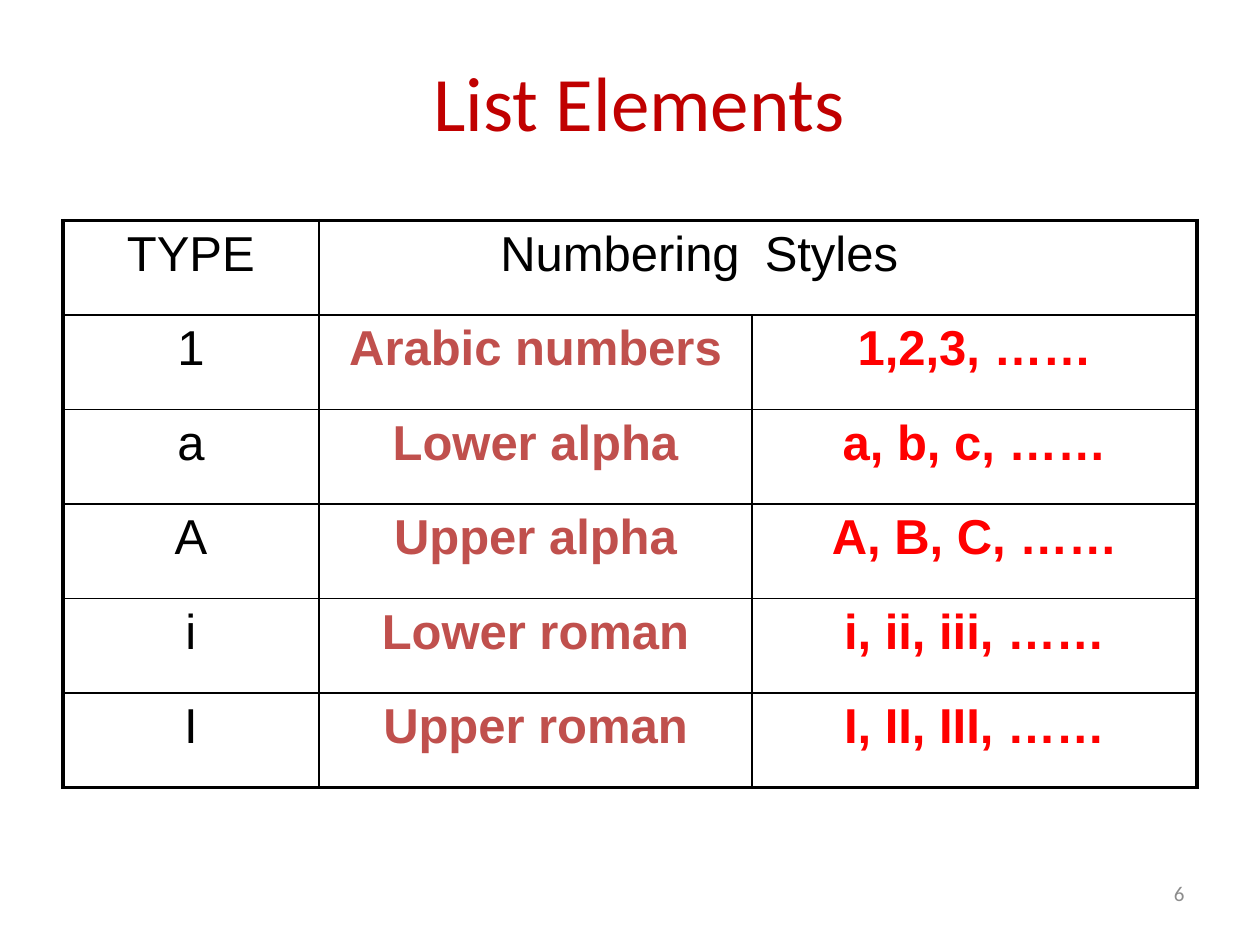
from dataclasses import dataclass

from lxml.etree import SubElement
from pptx import Presentation
from pptx.dml.color import RGBColor
from pptx.enum.text import MSO_ANCHOR as Anchor, PP_ALIGN as Align
from pptx.oxml.ns import qn
from pptx.util import Inches, Pt


@dataclass(frozen=True)
class Theme:
    """Colours, fonts and sizes of the slide."""
    black: str = "000000"
    title: str = "C00000"
    style_name: str = "C0504D"
    example: str = "FF0000"
    number: str = "8C8C8C"
    heading_font: str = "Calibri"
    table_font: str = "Arial"
    title_size: int = 44
    table_size: int = 28
    number_size: int = 12
    outer_line: float = 2.25
    inner_line: float = 1


THEME = Theme()
HEADER = ("TYPE", "Numbering", "Styles")
NUMBERING_STYLES = (
    ("1", "Arabic numbers", "1,2,3, ……"),
    ("a", "Lower alpha", "a, b, c, ……"),
    ("A", "Upper alpha", "A, B, C, ……"),
    ("i", "Lower roman", "i, ii, iii, ……"),
    ("I", "Upper roman", "I, II, III, ……"),
)
COLUMN_WIDTHS = (2.03, 3.44, 3.53)


def write_text(frame, text, *, size, color, font, align=Align.CENTER, bold=False):
    """Put one formatted run into a text frame."""
    paragraph = frame.paragraphs[0]
    paragraph.alignment = align
    run = paragraph.add_run()
    run.text = text
    run.font.size = Pt(size)
    run.font.name = font
    run.font.bold = bold
    run.font.color.rgb = RGBColor.from_string(color)


def add_title(slide, text):
    """Place and format the title placeholder."""
    title = slide.shapes.title
    title.left, title.top = Inches(0.74), Inches(0.3)
    title.width, title.height = Inches(8.67), Inches(1)
    title.text_frame.vertical_anchor = Anchor.MIDDLE
    write_text(title.text_frame, text, size=THEME.title_size,
               color=THEME.title, font=THEME.heading_font)


def add_page_number(slide, text):
    """Add the page number at the bottom right."""
    box = slide.shapes.add_textbox(Inches(7.17), Inches(6.83), Inches(2.33), Inches(0.52))
    box.text_frame.word_wrap = True
    box.text_frame.vertical_anchor = Anchor.MIDDLE
    write_text(box.text_frame, text, size=THEME.number_size, color=THEME.number,
               font=THEME.heading_font, align=Align.RIGHT)


def set_borders(cell, widths):
    """Draw cell borders from a side-to-points mapping; None hides a side."""
    properties = cell._tc.get_or_add_tcPr()
    for index, side in enumerate(("L", "R", "T", "B")):
        line = properties.makeelement(qn(f"a:ln{side}"), {})
        properties.insert(index, line)
        if widths[side] is None:
            SubElement(line, qn("a:noFill"))
        else:
            line.set("w", str(Pt(widths[side])))
            fill = SubElement(line, qn("a:solidFill"))
            SubElement(fill, qn("a:srgbClr"), val=THEME.black)


def border_widths(row, column, last_row, last_column):
    """Give thick outer and thin inner lines, with an open joint in the header."""
    def width(is_outer):
        return THEME.outer_line if is_outer else THEME.inner_line

    widths = {"L": width(column == 0), "R": width(column == last_column),
              "T": width(row == 0), "B": width(row == last_row)}
    if row == 0 and column == 1:
        widths["R"] = None
    if row == 0 and column == 2:
        widths["L"] = None
    return widths


def add_style_table(slide):
    """Add the table of list types and numbering styles."""
    rows = (HEADER, *NUMBERING_STYLES)
    table = slide.shapes.add_table(len(rows), len(HEADER), Inches(0.5), Inches(1.75),
                                   Inches(9), Inches(4.5)).table
    table.first_row = table.horz_banding = False
    for column, width in zip(table.columns, COLUMN_WIDTHS):
        column.width = Inches(width)

    header_aligns = (Align.CENTER, Align.RIGHT, Align.LEFT)
    body_colors = (THEME.black, THEME.style_name, THEME.example)
    for row, texts in enumerate(rows):
        for column, text in enumerate(texts):
            is_header = row == 0
            cell = table.cell(row, column)
            cell.fill.background()
            write_text(cell.text_frame, text, size=THEME.table_size, font=THEME.table_font,
                       color=THEME.black if is_header else body_colors[column],
                       align=header_aligns[column] if is_header else Align.CENTER,
                       bold=not is_header and column > 0)
            set_borders(cell, border_widths(row, column, len(rows) - 1, len(texts) - 1))


def main():
    """Build and save the slide."""
    presentation = Presentation()
    presentation.slide_width, presentation.slide_height = Inches(10), Inches(7.5)
    slide = presentation.slides.add_slide(presentation.slide_layouts[5])
    add_page_number(slide, "6")
    add_title(slide, "List Elements")
    add_style_table(slide)
    presentation.save("out.pptx")


main()
